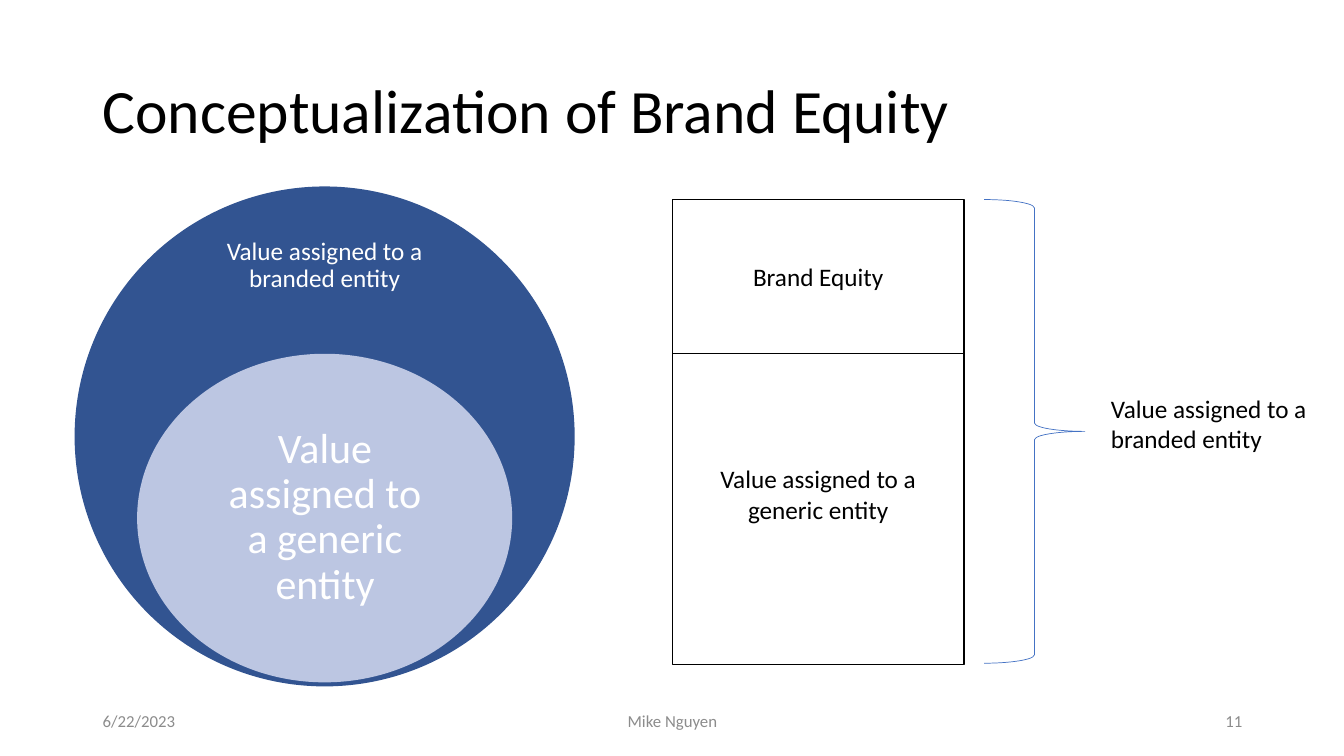
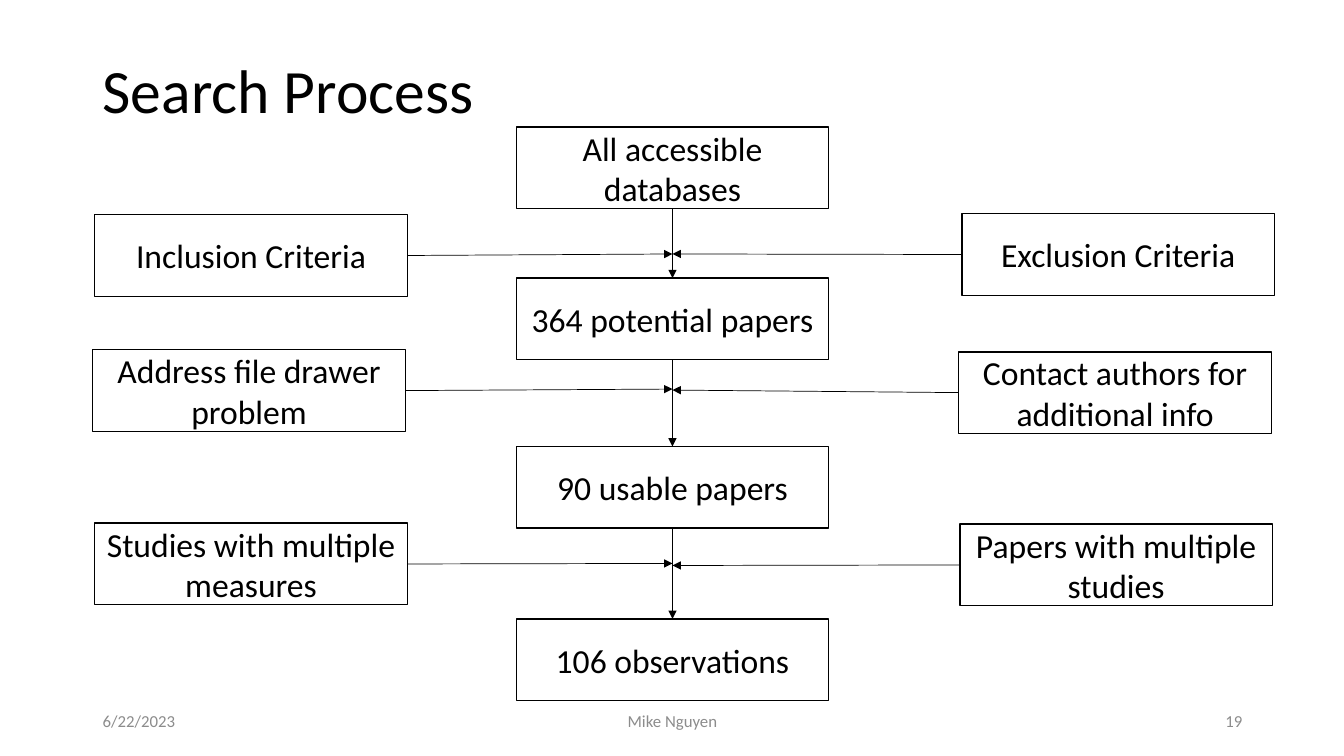
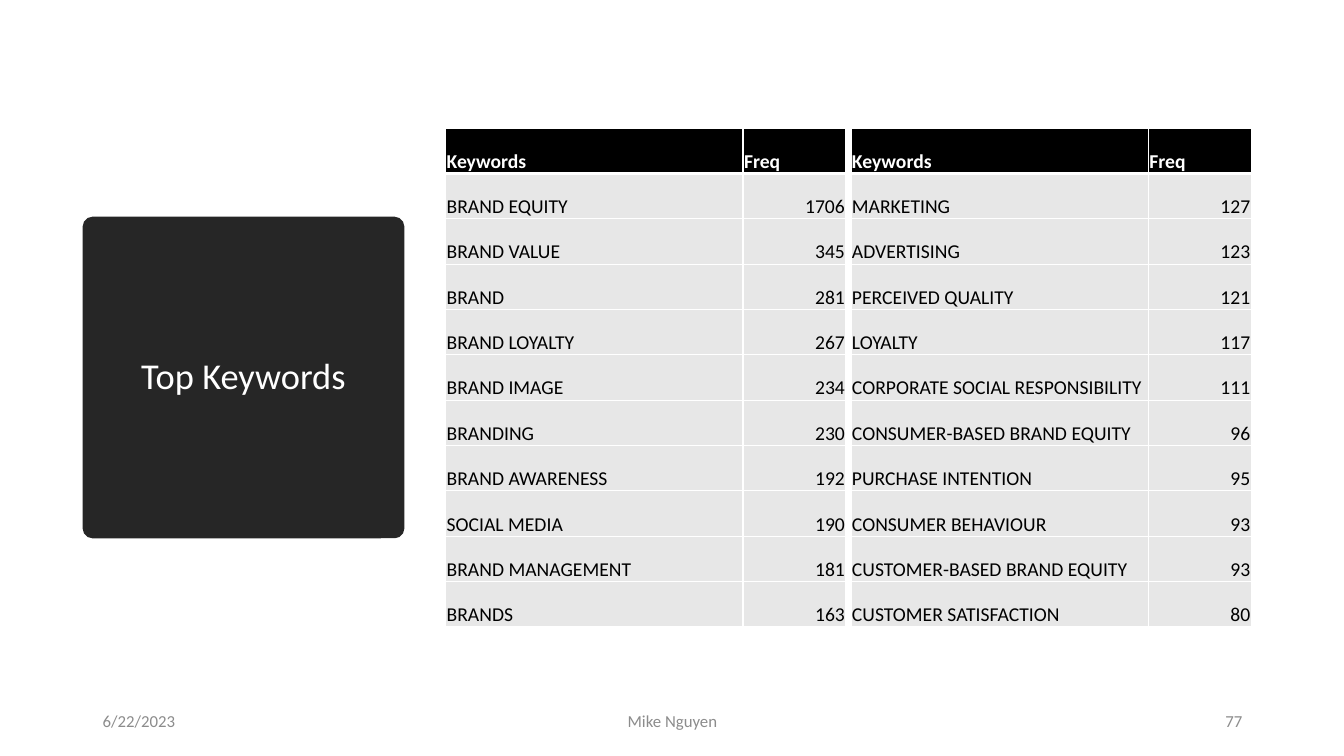
"""Build three slides on brand equity: concept, search process and top keywords."""
from dataclasses import dataclass
from typing import Optional

from lxml import etree
from pptx import Presentation
from pptx.dml.color import RGBColor
from pptx.enum.shapes import MSO_CONNECTOR, MSO_SHAPE
from pptx.enum.text import MSO_ANCHOR, PP_ALIGN
from pptx.oxml.ns import qn
from pptx.slide import Slide
from pptx.table import _Cell
from pptx.text.text import TextFrame
from pptx.util import Inches, Pt

LEFT, CENTER, RIGHT = PP_ALIGN.LEFT, PP_ALIGN.CENTER, PP_ALIGN.RIGHT
TOP, MIDDLE, BOTTOM = MSO_ANCHOR.TOP, MSO_ANCHOR.MIDDLE, MSO_ANCHOR.BOTTOM
RECTANGLE, ELLIPSE = MSO_SHAPE.RECTANGLE, MSO_SHAPE.OVAL
ROUNDED, BRACE = MSO_SHAPE.ROUNDED_RECTANGLE, MSO_SHAPE.RIGHT_BRACE
STRAIGHT = MSO_CONNECTOR.STRAIGHT

FONT = "Calibri"
COLORS = {
    "black": "000000",
    "white": "FFFFFF",
    "footer": "8C8C8C",
    "branded": "325491",
    "generic": "BCC6E2",
    "brace": "4472C4",
    "panel": "262626",
    "row": "E7E7E7",
}
DATE, AUTHOR = "6/22/2023", "Mike Nguyen"
BRANDED_TEXT = "Value assigned to a branded entity"
GENERIC_TEXT = "Value assigned to a generic entity"

SPINE_X = 6.67
BOX_WIDTH, BOX_HEIGHT = 3.1, 0.81
ROW_HEIGHT = 0.45
COLUMN_WIDTHS = (2.95, 1.02)
DEFAULT_INSETS = (0.1, 0.05, 0.1, 0.05)


@dataclass(frozen=True)
class TextStyle:
    """Look of the text in a box or a cell."""
    size: float = 18
    color: str = "black"
    alignment: PP_ALIGN = CENTER
    anchor: MSO_ANCHOR = MIDDLE
    bold: bool = False
    line_spacing: float = 1.0
    insets: tuple[float, float, float, float] = DEFAULT_INSETS


@dataclass(frozen=True)
class Block:
    """A text box, or a preset shape when a geometry is given."""
    left: float
    top: float
    width: float
    height: float
    text: str = ""
    style: TextStyle = TextStyle()
    geometry: Optional[MSO_SHAPE] = None
    fill: Optional[str] = None
    line: Optional[str] = None
    line_width: float = 1
    adjustment: Optional[float] = None


@dataclass(frozen=True)
class SideStep:
    """A box beside the flow whose arrow meets the spine at target_y."""
    text: str
    left: float
    top: float
    target_y: float


@dataclass(frozen=True)
class KeywordTable:
    """A list of keywords with their frequencies."""
    left: float
    rows: tuple[tuple[str, int], ...]


TITLE_STYLE = TextStyle(size=44, alignment=LEFT, line_spacing=0.9)
STEP_STYLE = TextStyle(size=24)

CONCEPT_BLOCKS = (
    Block(0.74, 1.85, 4.96, 4.96, geometry=ELLIPSE, fill="branded"),
    Block(1.92, 2.22, 2.6, 0.84, BRANDED_TEXT,
          TextStyle(color="white", line_spacing=0.9, insets=(0.14,) * 4)),
    Block(1.36, 3.51, 3.72, 3.26, geometry=ELLIPSE, fill="generic"),
    Block(1.91, 4.32, 2.63, 1.63, GENERIC_TEXT,
          TextStyle(size=30, color="white", line_spacing=0.9, insets=(0.23,) * 4)),
    Block(6.67, 1.98, 2.89, 4.6, geometry=RECTANGLE, fill="white", line="black"),
    Block(6.67, 3.51, 2.89, 3.08, GENERIC_TEXT,
          TextStyle(insets=(0.1, 0.05, 0.1, 0.35)),
          geometry=RECTANGLE, fill="white", line="black"),
    Block(10.92, 3.85, 2.27, 0.71, BRANDED_TEXT, TextStyle(alignment=LEFT, anchor=TOP)),
    Block(9.76, 1.98, 1, 4.6, geometry=BRACE, line="brace", line_width=0.5),
    Block(6.98, 2.54, 2.27, 0.4, "Brand Equity", TextStyle(anchor=TOP)),
)

SPINE_STEPS = (
    ("All accessible databases", 1.26),
    ("364 potential papers", 2.76),
    ("90 usable papers", 4.43),
    ("106 observations", 6.14),
)
SIDE_STEPS = (
    SideStep("Inclusion Criteria", 0.94, 2.13, 2.52),
    SideStep("Exclusion Criteria", 9.54, 2.12, 2.52),
    SideStep("Address file drawer problem", 0.92, 3.47, 3.86),
    SideStep("Contact authors for additional info", 9.51, 3.49, 3.87),
    SideStep("Studies with multiple measures", 0.94, 5.19, 5.59),
    SideStep("Papers with multiple studies", 9.52, 5.2, 5.61),
)

KEYWORD_TABLES = (
    KeywordTable(4.42, (
        ("BRAND EQUITY", 1706), ("BRAND VALUE", 345), ("BRAND", 281),
        ("BRAND LOYALTY", 267), ("BRAND IMAGE", 234), ("BRANDING", 230),
        ("BRAND AWARENESS", 192), ("SOCIAL MEDIA", 190),
        ("BRAND MANAGEMENT", 181), ("BRANDS", 163),
    )),
    KeywordTable(8.44, (
        ("MARKETING", 127), ("ADVERTISING", 123), ("PERCEIVED QUALITY", 121),
        ("LOYALTY", 117), ("CORPORATE SOCIAL RESPONSIBILITY", 111),
        ("CONSUMER-BASED BRAND EQUITY", 96), ("PURCHASE INTENTION", 95),
        ("CONSUMER BEHAVIOUR", 93), ("CUSTOMER-BASED BRAND EQUITY", 93),
        ("CUSTOMER SATISFACTION", 80),
    )),
)


def rgb(name: str) -> RGBColor:
    """Return the named colour."""
    return RGBColor.from_string(COLORS[name])


def write_text(text_frame: TextFrame, text: str, style: TextStyle) -> None:
    """Set the text of a frame and format its paragraph and runs."""
    text_frame.text = text
    paragraph = text_frame.paragraphs[0]
    paragraph.alignment = style.alignment
    paragraph.line_spacing = style.line_spacing
    for run in paragraph.runs:
        run.font.name = FONT
        run.font.size = Pt(style.size)
        run.font.bold = style.bold
        run.font.color.rgb = rgb(style.color)


def set_frame(target: TextFrame | _Cell, style: TextStyle) -> None:
    """Set the anchor and the margins of a text frame or a cell."""
    target.vertical_anchor = style.anchor
    (target.margin_left, target.margin_top,
     target.margin_right, target.margin_bottom) = map(Inches, style.insets)


def draw_block(slide: Slide, block: Block) -> None:
    """Draw a text box or a shape with its text."""
    bounds = [Inches(value) for value in (block.left, block.top, block.width, block.height)]
    if block.geometry is None:
        shape = slide.shapes.add_textbox(*bounds)
    else:
        shape = slide.shapes.add_shape(block.geometry, *bounds)
        shape.shadow.inherit = False
        if block.adjustment is not None:
            shape.adjustments[0] = block.adjustment
        if block.fill:
            shape.fill.solid()
            shape.fill.fore_color.rgb = rgb(block.fill)
        else:
            shape.fill.background()
        if block.line:
            shape.line.color.rgb = rgb(block.line)
            shape.line.width = Pt(block.line_width)
        else:
            shape.line.fill.background()
    if block.text:
        shape.text_frame.word_wrap = True
        set_frame(shape.text_frame, block.style)
        write_text(shape.text_frame, block.text, block.style)


def draw_arrow(slide: Slide, start: tuple[float, float], end: tuple[float, float]) -> None:
    """Draw a thin black arrow from start to end."""
    connector = slide.shapes.add_connector(STRAIGHT, *map(Inches, start + end))
    connector.line.color.rgb = rgb("black")
    connector.line.width = Pt(0.5)
    line = connector.line._get_or_add_ln()
    etree.SubElement(line, qn("a:tailEnd"), type="triangle")
    etree.SubElement(connector._element.spPr, qn("a:effectLst"))


def draw_footer(slide: Slide, number: int) -> None:
    """Draw the date, the author and the slide number."""
    for left, width, text, alignment in (
        (0.92, 3, DATE, LEFT),
        (4.42, 4.5, AUTHOR, CENTER),
        (9.42, 3, str(number), RIGHT),
    ):
        style = TextStyle(size=12, color="footer", alignment=alignment)
        draw_block(slide, Block(left, 6.95, width, 0.4, text, style))


def draw_title(slide: Slide, text: str, top: float) -> None:
    """Draw the slide title."""
    draw_block(slide, Block(0.92, top, 11.5, 1.45, text, TITLE_STYLE))


def set_borders(cell: _Cell, top: float, bottom: float) -> None:
    """Give a cell white borders, with top and bottom widths in points."""
    properties = cell._tc.get_or_add_tcPr()
    for tag, width in (("lnL", 1), ("lnR", 1), ("lnT", top), ("lnB", bottom)):
        border = etree.SubElement(properties, qn(f"a:{tag}"), w=str(Pt(width)))
        fill = etree.SubElement(border, qn("a:solidFill"))
        etree.SubElement(fill, qn("a:srgbClr"), val=COLORS["white"])


def draw_keyword_table(slide: Slide, keywords: KeywordTable) -> None:
    """Draw a table with a black header and grey rows."""
    rows = (("Keywords", "Freq"), *keywords.rows)
    table = slide.shapes.add_table(
        len(rows), len(COLUMN_WIDTHS), Inches(keywords.left), Inches(1.27),
        Inches(sum(COLUMN_WIDTHS)), Inches(ROW_HEIGHT * len(rows))).table
    table.horz_banding = False
    for column, width in zip(table.columns, COLUMN_WIDTHS):
        column.width = Inches(width)
    for row_index, values in enumerate(rows):
        header = row_index == 0
        for column_index, value in enumerate(values):
            cell = table.cell(row_index, column_index)
            style = TextStyle(
                size=14, color="white" if header else "black", bold=header, anchor=BOTTOM,
                alignment=RIGHT if column_index and not header else LEFT,
                insets=(0.01, 0.01, 0.01, 0))
            set_borders(cell, top=3 if row_index == 1 else 1, bottom=3 if header else 1)
            cell.fill.solid()
            cell.fill.fore_color.rgb = rgb("black" if header else "row")
            set_frame(cell, style)
            write_text(cell.text_frame, str(value), style)


def draw_step(slide: Slide, text: str, left: float, top: float) -> None:
    """Draw one box of the search process."""
    draw_block(slide, Block(left, top, BOX_WIDTH, BOX_HEIGHT, text, STEP_STYLE,
                            geometry=RECTANGLE, fill="white", line="black"))


def build_concept(slide: Slide) -> None:
    """Build the slide that defines brand equity."""
    draw_title(slide, "Conceptualization of Brand Equity", 0.4)
    for block in CONCEPT_BLOCKS:
        draw_block(slide, block)


def build_search(slide: Slide) -> None:
    """Build the flow chart of the search process."""
    draw_title(slide, "Search Process", 0.2)
    for text, top in SPINE_STEPS:
        draw_step(slide, text, SPINE_X - BOX_WIDTH / 2, top)
    for (_, top), (_, next_top) in zip(SPINE_STEPS, SPINE_STEPS[1:]):
        draw_arrow(slide, (SPINE_X, top + BOX_HEIGHT), (SPINE_X, next_top))
    for step in SIDE_STEPS:
        draw_step(slide, step.text, step.left, step.top)
        edge = step.left + BOX_WIDTH if step.left < SPINE_X else step.left
        draw_arrow(slide, (edge, step.top + BOX_HEIGHT / 2), (SPINE_X, step.target_y))


def build_keywords(slide: Slide) -> None:
    """Build the slide with the two keyword tables."""
    for keywords in KEYWORD_TABLES:
        draw_keyword_table(slide, keywords)
    style = TextStyle(size=26, color="white", line_spacing=0.9)
    draw_block(slide, Block(0.82, 2.15, 3.19, 3.19, "Top Keywords", style,
                            geometry=ROUNDED, fill="panel", adjustment=0.03))


def main() -> None:
    """Build and save the presentation."""
    presentation = Presentation()
    presentation.slide_width = Inches(13.33)
    presentation.slide_height = Inches(7.5)
    blank_layout = presentation.slide_layouts[6]
    for build, number in ((build_concept, 11), (build_search, 19), (build_keywords, 77)):
        slide = presentation.slides.add_slide(blank_layout)
        build(slide)
        draw_footer(slide, number)
    presentation.save("out.pptx")


if __name__ == "__main__":
    main()
